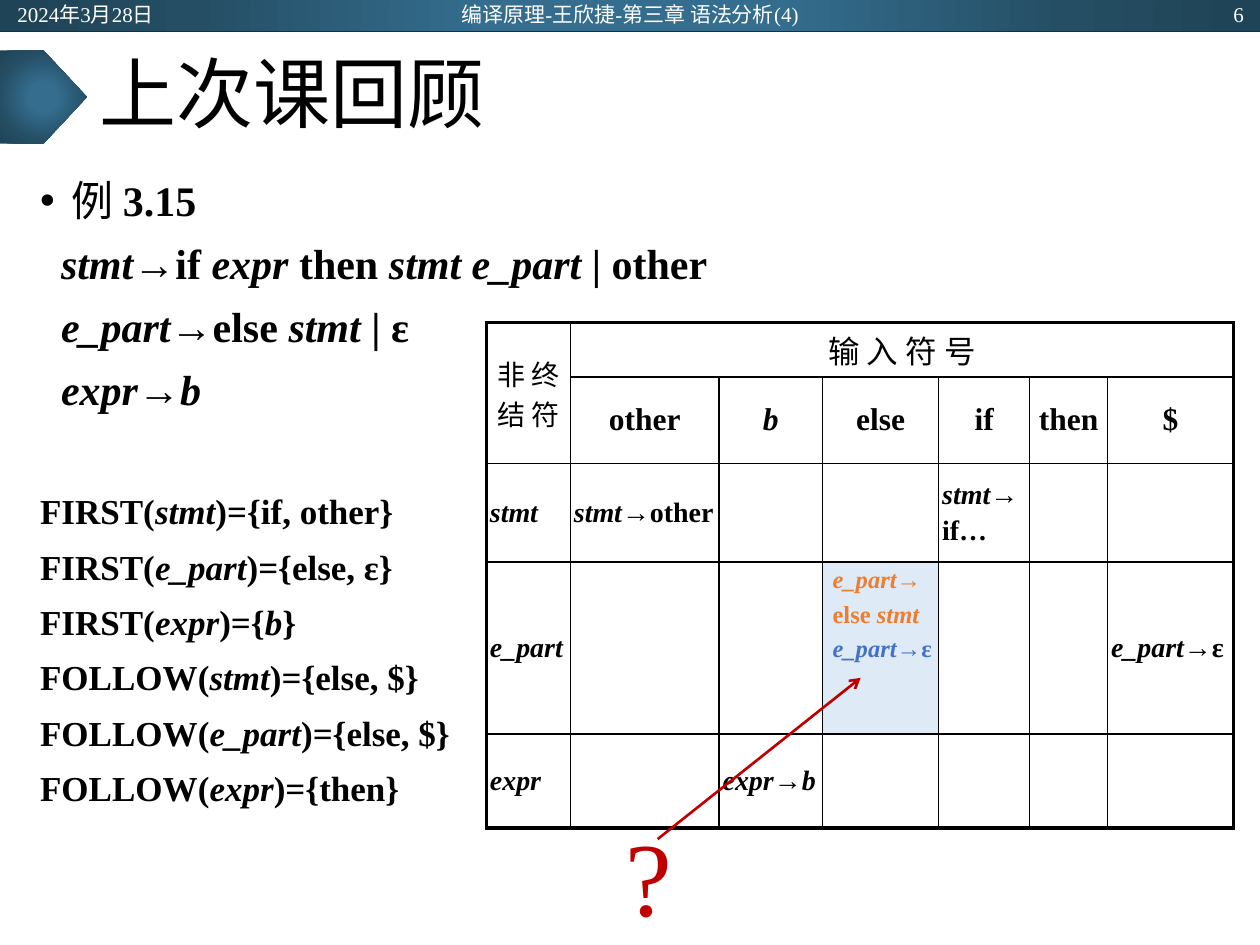
from dataclasses import dataclass

from pptx import Presentation as Deck
from pptx.dml.color import RGBColor as Color
from pptx.enum.shapes import MSO_CONNECTOR as Link, MSO_SHAPE as Form
from pptx.enum.text import MSO_ANCHOR as Anchor, PP_ALIGN as Align
from pptx.oxml import parse_xml as parse
from pptx.oxml.ns import nsdecls, qn
from pptx.util import Pt

NS = nsdecls("a")


@dataclass(frozen=True)
class Theme:
    font: str = "Times New Roman"
    ink: str = "000000"
    white: str = "FFFFFF"
    edge: str = "222A35"
    red: str = "C00000"
    gold: str = "ED7D31"
    blue: str = "4472C4"
    pale: str = "DEEBF7"
    blend: tuple = ((0, "346D8E"), (23, "346D8E"), (69, "254E64"), (97, "204457"))
    title: int = 44
    rule: int = 24
    set: int = 20
    head: int = 18
    cell: int = 16
    note: int = 14
    bar: int = 12
    mark: int = 60


class Page:
    """Draws styled elements on one slide."""

    def __init__(self, slide, theme):
        self.slide, self.theme = slide, theme
        self.shapes = slide.shapes

    def form(self, kind, *box):
        shape = self.shapes.add_shape(kind, *map(Pt, box))
        shape.shadow.inherit = False
        shape.line.fill.background()
        shape.fill.gradient()
        stops = "".join(
            f'<a:gs pos="{pos * 1000}"><a:srgbClr val="{hue}"/></a:gs>'
            for pos, hue in self.theme.blend)
        mid = 'l="50000" t="50000" r="50000" b="50000"'
        props = shape.element.spPr
        props.replace(props.find(qn("a:gradFill")), parse(
            f'<a:gradFill {NS}><a:gsLst>{stops}</a:gsLst>'
            f'<a:path path="circle"><a:fillToRect {mid}/></a:path></a:gradFill>'))

    def line(self, start, end, hue, width, arrow=False):
        link = self.shapes.add_connector(Link.STRAIGHT, *map(Pt, start + end))
        link.line.color.rgb = Color.from_string(hue)
        link.line.width = Pt(width)
        props = link.element.spPr
        if arrow:
            props.find(qn("a:ln")).append(parse(f'<a:tailEnd {NS} type="arrow"/>'))
        props.append(parse(f"<a:effectLst {NS}/>"))

    def box(self, *box, wrap=True, anchor=Anchor.TOP):
        frame = self.shapes.add_textbox(*map(Pt, box)).text_frame
        frame.word_wrap = wrap
        frame.vertical_anchor = anchor
        return frame

    def para(self, frame, **form):
        last = frame.paragraphs[-1]
        para = frame.add_paragraph() if last.runs else last
        for name, value in form.items():
            setattr(para, name, value)
        return para

    def say(self, para, text, size, hue=None, bold=False):
        for part, words in enumerate(text.split("*")):
            if words:
                run = para.add_run()
                run.text = words
                form = dict(name=self.theme.font, size=Pt(size), bold=bold,
                            italic=part % 2 == 1)
                for name, value in form.items():
                    setattr(run.font, name, value)
                run.font.color.rgb = Color.from_string(hue or self.theme.ink)

    def dent(self, para, left, first=0, mark=None):
        props = para._p.get_or_add_pPr()
        props.set("marL", str(Pt(left)))
        props.set("indent", str(Pt(first)))
        if mark:
            props.append(parse(f'<a:buFont {NS} typeface="Arial"/>'))
            props.append(parse(f'<a:buChar {NS} char="{mark}"/>'))

    def grid(self, left, top, cols, rows, spans):
        frame = self.shapes.add_table(len(rows), len(cols), Pt(left), Pt(top),
                                      Pt(sum(cols)), Pt(sum(rows)))
        for style in frame.element.iter(qn("a:tableStyleId")):
            style.text = "{2D5ABB26-0587-4C30-8999-92F81FD0307C}"
        table = frame.table
        table.first_row = table.horz_banding = False
        for col, width in zip(table.columns, cols):
            col.width = Pt(width)
        for row, height in zip(table.rows, rows):
            row.height = Pt(height)
        for start, end in spans:
            table.cell(*start).merge(table.cell(*end))
        for spot, tc in enumerate(frame.element.iter(qn("a:tc"))):
            row, col = divmod(spot, len(cols))
            cell = table.cell(row, col)
            cell.fill.background()
            outer = dict(L=col == 0, R=col + tc.gridSpan == len(cols),
                         T=row == 0, B=row + 1 == len(rows))
            sides = [side for side in outer if outer[side] or not cell.is_spanned]
            for place, side in enumerate(sides):
                width = Pt(2.25 if outer[side] else 1)
                tc.get_or_add_tcPr().insert(place, parse(
                    f'<a:ln{side} {NS} w="{width}"><a:solidFill><a:srgbClr '
                    f'val="{self.theme.ink}"/></a:solidFill></a:ln{side}>'))
        return table

    def fill(self, cell, text, size, bold=True, align=Align.LEFT, pad=(2, 1.5)):
        cell.vertical_anchor = Anchor.MIDDLE
        cell.margin_left = cell.margin_right = Pt(pad[0])
        cell.margin_top = cell.margin_bottom = Pt(pad[1])
        for words in text.split("\n"):
            para = self.para(cell.text_frame, alignment=align,
                             space_before=Pt(size * 0.2))
            self.say(para, words, size, bold=bold)


def main():
    deck = Deck()
    deck.slide_width, deck.slide_height = Pt(720), Pt(540)
    theme = Theme()
    page = Page(deck.slides.add_slide(deck.slide_layouts[6]), theme)

    page.form(Form.RECTANGLE, 0, 0, 720, 18)
    page.line((0, 18), (720, 18), theme.edge, 0.5)
    page.form(Form.PENTAGON, 0, 28.8, 49.7, 53.3)

    title = page.box(49.7, 18, 620.6, 75, anchor=Anchor.MIDDLE)
    page.say(page.para(title, line_spacing=0.9), "上次课回顾", theme.title)

    body = page.box(15.8, 99.4, 620.6, 387.4)
    loose = dict(line_spacing=0.9, space_before=Pt(10))
    para = page.para(body, **loose)
    page.dent(para, 18, -18, "•")
    page.say(para, "例 ", theme.rule)
    page.say(para, "3.15", theme.rule, bold=True)
    for text in ("*stmt*→if *expr *then *stmt e_part* | other",
                 "*e_part*→else *stmt* | ε", "*expr*→*b*"):
        para = page.para(body, **loose)
        page.dent(para, 12)
        page.say(para, text, theme.rule, bold=True)
    for spot, text in enumerate((
            "FIRST(*stmt*)={if, other}", "FIRST(*e_part*)={else, ε}",
            "FIRST(*expr*)={*b*}", "FOLLOW(*stmt*)={else, $}",
            "FOLLOW(*e_part*)={else, $}", "FOLLOW(*expr*)={then}")):
        para = page.para(body, **loose)
        if spot == 0:
            para.space_before = Pt(46)
        page.say(para, text, theme.set, bold=True)

    for left, width, align, text in (
            (2.9, 162, Align.LEFT, "2024年3月28日"),
            (238.3, 243.4, Align.CENTER, "编译原理-王欣捷-第三章 语法分析(4)"),
            (555.8, 162, Align.RIGHT, "6")):
        bar = page.box(left, 0.7, width, 14.4, anchor=Anchor.MIDDLE)
        page.say(page.para(bar, alignment=align), text, theme.bar, theme.white)

    table = page.grid(278, 184.3, (48, 85, 59, 66.5, 52, 44.5, 72),
                      (31, 49.7, 56.3, 98.2, 53.8),
                      (((0, 0), (1, 0)), ((0, 1), (0, 6))))
    top = dict(bold=False, align=Align.CENTER, pad=(3.6, 2))
    page.fill(table.cell(0, 0), "非 终 结 符", theme.cell, **top)
    page.fill(table.cell(0, 1), "输 入 符 号", theme.head, **top)
    for col, text in enumerate(("other", "*b*", "else", "if", "then", "$"), 1):
        page.fill(table.cell(1, col), text, theme.head, align=Align.CENTER)
    for (row, col), text in {
            (2, 0): "*stmt*", (2, 1): "*stmt*→other", (2, 4): "*stmt*→\nif…",
            (3, 0): "*e_part*", (3, 6): "*e_part*→ε",
            (4, 0): "*expr*", (4, 2): "*expr*→*b*"}.items():
        page.fill(table.cell(row, col), text, theme.cell)
    clash = table.cell(3, 3).fill
    clash.solid()
    clash.fore_color.rgb = Color.from_string(theme.pale)

    note = page.box(468.7, 319, 90.7, 64.8)
    for text, hue in (("*e_part*→", theme.gold), ("else *stmt*", theme.gold),
                      ("*e_part*→ε", theme.blue)):
        para = page.para(note, space_before=Pt(theme.note * 0.2))
        page.say(para, text, theme.note, hue, bold=True)

    page.line((375.8, 479.5), (491.8, 387.4), theme.red, 1.5, arrow=True)
    mark = page.box(350.6, 460, 41.8, 80, wrap=False)
    page.say(page.para(mark), "?", theme.mark, theme.red)

    deck.save("out.pptx")


if __name__ == "__main__":
    main()
